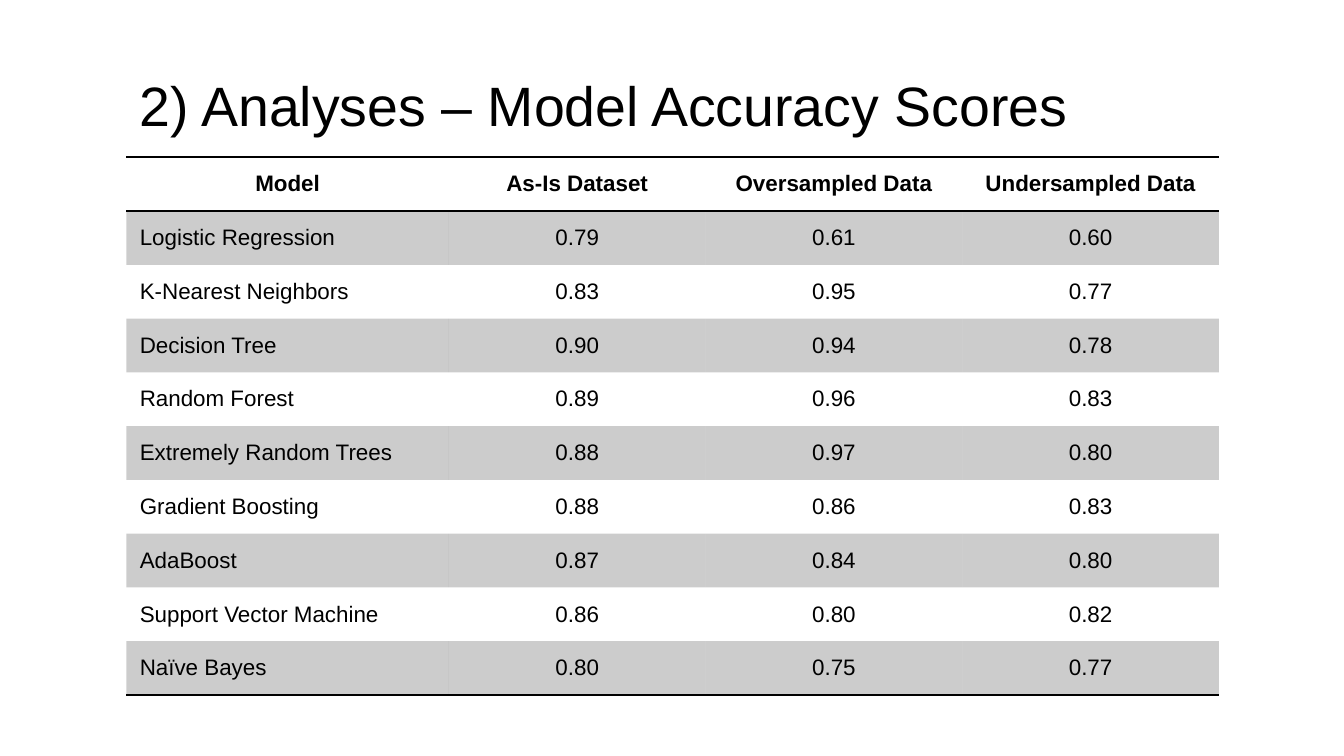
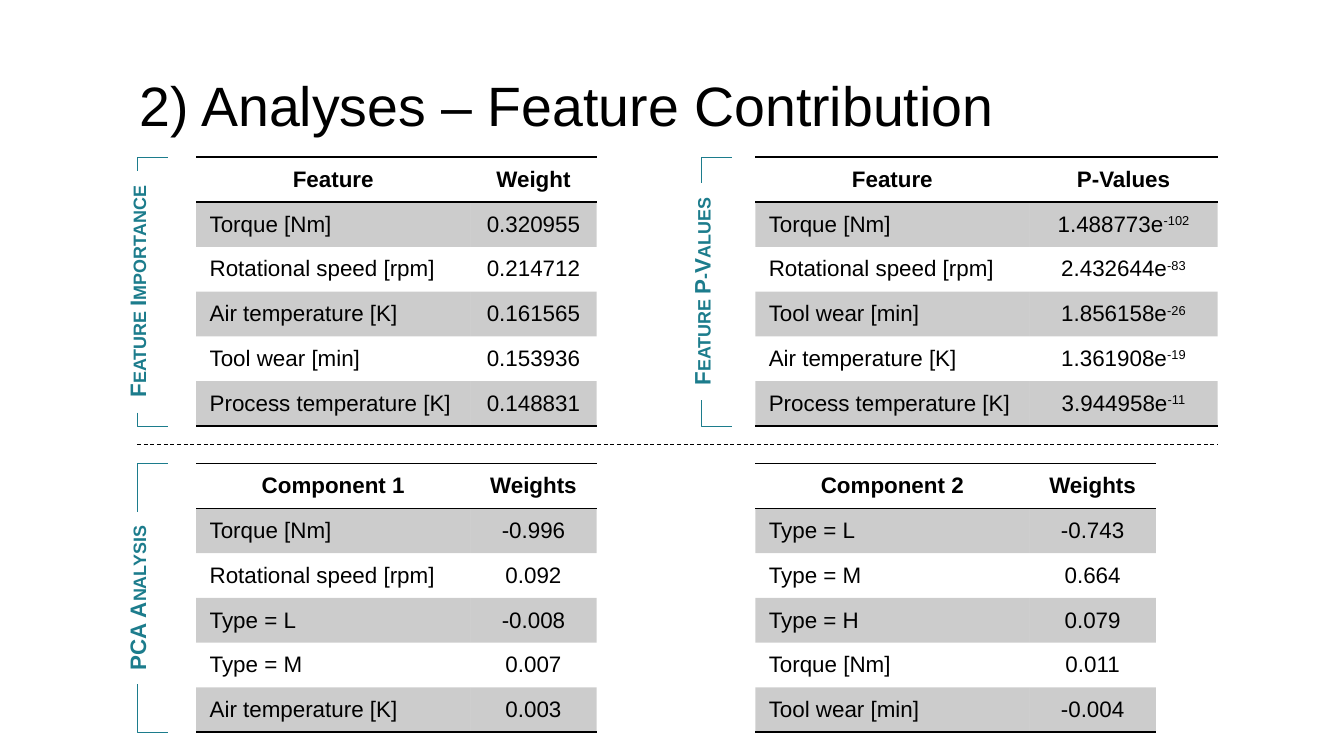
import dataclasses

import lxml.etree
import pptx
import pptx.dml.color
import pptx.enum.dml
import pptx.enum.shapes
import pptx.enum.text
import pptx.oxml.ns
import pptx.presentation
import pptx.shapes.connector
import pptx.slide
import pptx.table
import pptx.text.text
import pptx.util

RGB = pptx.dml.color.RGBColor
ALIGN = pptx.enum.text.PP_ALIGN
MIDDLE = pptx.enum.text.MSO_ANCHOR.MIDDLE
LINK = pptx.enum.shapes.MSO_CONNECTOR
qn = pptx.oxml.ns.qn

BLACK = RGB(0x00, 0x00, 0x00)
TEAL = RGB(0x1C, 0x7C, 0x8C)
FONT = "Arial"
PLAIN = "{2D5ABB26-0587-4C30-8999-92F81FD0307C}"

WIDTH = pptx.util.Inches(10)
COLS, ROWS = 100, 56.25
UNIT = WIDTH / COLS

LEFT, RIGHT = 9.4, 90.6
TOP, LOWER = 11.7, 34.5
NEAR, FAR = 14.6, 56.2
TALL = 20
ARM = 2.3


@dataclasses.dataclass(frozen=True)
class Grid:
    left: float
    top: float
    cols: tuple[float, ...]
    height: float
    rows: tuple[tuple[str, ...], ...]


@dataclasses.dataclass(frozen=True)
class Bracket:
    label: str
    left: float
    top: float
    width: float
    leg: float


SCORES = Grid(LEFT, TOP, (24, 19.1, 19.1, 19.1), 40, (
    ("Model", "As-Is Dataset", "Oversampled Data", "Undersampled Data"),
    ("Logistic Regression", "0.79", "0.61", "0.60"),
    ("K-Nearest Neighbors", "0.83", "0.95", "0.77"),
    ("Decision Tree", "0.90", "0.94", "0.78"),
    ("Random Forest", "0.89", "0.96", "0.83"),
    ("Extremely Random Trees", "0.88", "0.97", "0.80"),
    ("Gradient Boosting", "0.88", "0.86", "0.83"),
    ("AdaBoost", "0.87", "0.84", "0.80"),
    ("Support Vector Machine", "0.86", "0.80", "0.82"),
    ("Naïve Bayes", "0.80", "0.75", "0.77"),
))

PARTS = (
    Grid(NEAR, TOP, (20.4, 9.4), TALL, (
        ("Feature", "Weight"),
        ("Torque [Nm]", "0.320955"),
        ("Rotational speed [rpm]", "0.214712"),
        ("Air temperature [K]", "0.161565"),
        ("Tool wear [min]", "0.153936"),
        ("Process temperature [K]", "0.148831"),
    )),
    Grid(FAR, TOP, (20.4, 14), TALL, (
        ("Feature", "P-Values"),
        ("Torque [Nm]", "1.488773e^-102"),
        ("Rotational speed [rpm]", "2.432644e^-83"),
        ("Tool wear [min]", "1.856158e^-26"),
        ("Air temperature [K]", "1.361908e^-19"),
        ("Process temperature [K]", "3.944958e^-11"),
    )),
    Grid(NEAR, LOWER, (20.4, 9.4), TALL, (
        ("Component 1", "Weights"),
        ("Torque [Nm]", "-0.996"),
        ("Rotational speed [rpm]", "0.092"),
        ("Type = L", "-0.008"),
        ("Type = M", "0.007"),
        ("Air temperature [K]", "0.003"),
    )),
    Grid(FAR, LOWER, (20.4, 9.4), TALL, (
        ("Component 2", "Weights"),
        ("Type = L", "-0.743"),
        ("Type = M", "0.664"),
        ("Type = H", "0.079"),
        ("Torque [Nm]", "0.011"),
        ("Tool wear [min]", "-0.004"),
    )),
)

BRACKETS = (
    Bracket("Feature Importance", 10.2, TOP, 17.9, 1),
    Bracket("Feature P-Values", 52.2, TOP, 16.2, 1.9),
    Bracket("PCA Analysis", 10.2, LOWER, 12.8, 3.6),
)


def span(units: float) -> pptx.util.Emu:
    return pptx.util.Emu(round(units * UNIT))


def write(frame: pptx.text.text.TextFrame, text: str, *, size: float = 12,
          color: RGB = BLACK, bold: bool = False, caps: bool = False,
          align: ALIGN = ALIGN.LEFT, space: float = 1) -> None:
    para = frame.paragraphs[0]
    para.alignment = align
    para.line_spacing = space
    for power, part in enumerate(text.split("^")):
        run = para.add_run()
        run.text = part
        run.font.name = FONT
        run.font.size = pptx.util.Pt(size)
        run.font.bold = bold
        run.font.color.rgb = color
        props = run.font._element
        if caps:
            props.set("cap", "small")
        if power:
            props.set("baseline", "30000")


def add_box(slide: pptx.slide.Slide, left: float, top: float, width: float,
            height: float, wrap: bool = True) -> pptx.shapes.autoshape.Shape:
    box = slide.shapes.add_textbox(*map(span, (left, top, width, height)))
    box.text_frame.word_wrap = wrap
    box.text_frame.vertical_anchor = MIDDLE
    return box


def add_page(deck: pptx.presentation.Presentation, title: str) -> pptx.slide.Slide:
    slide = deck.slides.add_slide(deck.slide_layouts[6])
    frame = add_box(slide, LEFT, 5.1, RIGHT - LEFT, 6).text_frame
    frame.margin_top = frame.margin_bottom = span(1)
    write(frame, "2) Analyses – " + title, size=29.7, space=0.9)
    return slide


def add_edge(cell: pptx.table._Cell, tag: str) -> None:
    edge = lxml.etree.Element(qn(tag), w=str(pptx.util.Pt(1)))
    fill = lxml.etree.SubElement(edge, qn("a:solidFill"))
    lxml.etree.SubElement(fill, qn("a:srgbClr"), val=str(BLACK))
    cell._tc.get_or_add_tcPr().insert(0, edge)


def shade(cell: pptx.table._Cell) -> None:
    cell.fill.solid()
    cell.fill.fore_color.rgb = BLACK
    color = cell._tc.tcPr.find(".//" + qn("a:srgbClr"))
    lxml.etree.SubElement(color, qn("a:alpha"), val="20000")


def add_grid(slide: pptx.slide.Slide, grid: Grid) -> None:
    count = len(grid.rows)
    table = slide.shapes.add_table(
        count, len(grid.cols), span(grid.left), span(grid.top),
        span(sum(grid.cols)), span(grid.height)).table
    table.horz_banding = False
    table._tbl.tblPr.find(qn("a:tableStyleId")).text = PLAIN
    for col, width in zip(table.columns, grid.cols):
        col.width = span(width)
    for r, texts in enumerate(grid.rows):
        table.rows[r].height = span(grid.height / count)
        for c, text in enumerate(texts):
            cell = table.cell(r, c)
            cell.vertical_anchor = MIDDLE
            centred = r == 0 or c > 0
            write(cell.text_frame, text, bold=r == 0,
                  align=ALIGN.CENTER if centred else ALIGN.LEFT)
            if r % 2:
                shade(cell)
            else:
                cell.fill.background()
            if r in (0, count - 1):
                add_edge(cell, "a:lnB")
            if r == 0:
                add_edge(cell, "a:lnT")


def add_line(slide: pptx.slide.Slide, kind: LINK, start: tuple[float, float],
             end: tuple[float, float], color: RGB) -> pptx.shapes.connector.Connector:
    line = slide.shapes.add_connector(kind, *map(span, start + end))
    line.line.color.rgb = color
    line.line.width = pptx.util.Pt(0.5)
    lxml.etree.SubElement(line._element.spPr, qn("a:effectLst"))
    return line


def add_elbow(slide: pptx.slide.Slide, left: float, top: float,
              leg: float, sign: int) -> None:
    mid, level = left + ARM / 2, top + leg / 2
    along, across = leg / 2, sign * ARM / 2
    elbow = add_line(slide, LINK.ELBOW, (mid + along, level + across),
                     (mid - along, level - across), TEAL)
    props = elbow._element.spPr
    props.find(qn("a:xfrm")).set("rot", str((180 - 90 * sign) * 60000))
    props.find(qn("a:prstGeom")).set("prst", "bentConnector2")


def add_bracket(slide: pptx.slide.Slide, item: Bracket) -> None:
    high = 3
    box = add_box(slide, item.left - item.width / 2,
                  item.top + (TALL - high) / 2, item.width, high, wrap=False)
    box.rotation = 270
    write(box.text_frame, item.label, color=TEAL, bold=True, caps=True,
          align=ALIGN.CENTER)
    add_elbow(slide, item.left, item.top, item.leg, 1)
    add_elbow(slide, item.left, item.top + TALL - item.leg, item.leg, -1)


def main() -> None:
    deck = pptx.Presentation()
    deck.slide_width = WIDTH
    deck.slide_height = span(ROWS)

    add_grid(add_page(deck, "Model Accuracy Scores"), SCORES)

    slide = add_page(deck, "Feature Contribution")
    for grid in PARTS:
        add_grid(slide, grid)
    for item in BRACKETS:
        add_bracket(slide, item)
    level = (TOP + TALL + LOWER) / 2
    rule = add_line(slide, LINK.STRAIGHT, (10.2, level), (RIGHT, level), BLACK)
    rule.line.dash_style = pptx.enum.dml.MSO_LINE.DASH

    deck.save("out.pptx")


if __name__ == "__main__":
    main()
